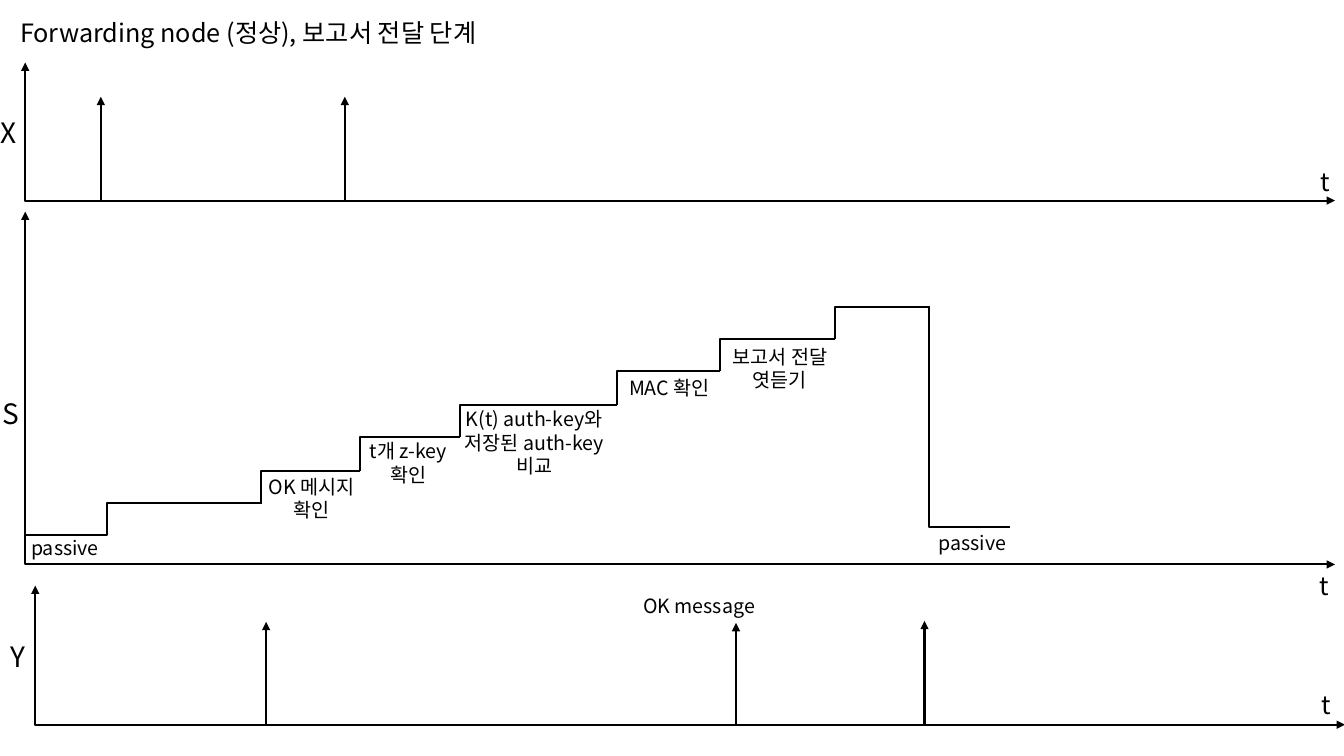
from itertools import pairwise

from lxml.etree import SubElement
from pptx import Presentation
from pptx.dml.color import RGBColor
from pptx.enum.shapes import MSO_CONNECTOR as Conn
from pptx.enum.text import MSO_ANCHOR as Anchor, MSO_AUTO_SIZE as Fit, PP_ALIGN as Align
from pptx.oxml.ns import qn
from pptx.util import Inches, Pt

BLACK = RGBColor(0x00, 0x00, 0x00)
FONT = "Noto Sans CJK KR"
COLS, ROWS = 133.3, 75


def write(tf, text, size=14, align=Align.LEFT, color=BLACK, font=FONT):
    tf.word_wrap = True
    tf.auto_size = Fit.SHAPE_TO_FIT_TEXT
    tf.vertical_anchor = Anchor.TOP
    for i, line in enumerate(text.split("\n")):
        p = tf.paragraphs[0] if i == 0 else tf.add_paragraph()
        p.alignment = align
        r = p.add_run()
        r.text = line
        r.font.size = Pt(size)
        r.font.color.rgb = color
        r.font.name = font
        SubElement(r.font._element, qn("a:ea"), typeface=font)


class TimingSlide:
    def __init__(self, prs, color=BLACK, weight=1.5):
        self.s = prs.slides.add_slide(prs.slide_layouts[5])
        self.col = prs.slide_width / COLS
        self.row = prs.slide_height / ROWS
        self.color, self.weight = color, weight

    def at(self, x, y):
        return round(x * self.col), round(y * self.row)

    def title(self, text, x, y, w, h):
        sp = self.s.shapes.title
        sp.left, sp.top = self.at(x, y)
        sp.width, sp.height = self.at(w, h)
        write(sp.text_frame, text, size=18)

    def label(self, text, x, y, w, h=3.4, **style):
        sp = self.s.shapes.add_textbox(*self.at(x, y), *self.at(w, h))
        write(sp.text_frame, text, **style)

    def line(self, start, end, kind=Conn.STRAIGHT, ends=()):
        c = self.s.shapes.add_connector(kind, *self.at(*start), *self.at(*end))
        c.line.color.rgb = self.color
        c.line.width = Pt(self.weight)
        spPr = c._element.spPr
        for end_tag in ends:
            SubElement(spPr.get_or_add_ln(), qn(end_tag), type="triangle")
        SubElement(spPr, qn("a:effectLst"))
        return c

    def elbow(self, start, end, bend=0.0, turn=0, ends=()):
        c = self.line(start, end, Conn.ELBOW, ends)
        spPr = c._element.spPr
        guides = spPr.find(qn("a:prstGeom")).get_or_add_avLst()
        SubElement(guides, qn("a:gd"), name="adj1", fmla=f"val {round(bend * 100000)}")
        if turn:
            spPr.find(qn("a:xfrm")).set("rot", str(turn * 60000))

    def axes(self, x, top, bottom):
        self.elbow((x, top), (x + 129.9, bottom), ends=("a:headEnd", "a:tailEnd"))

    def event(self, x, base):
        self.line((x, base), (x, base - 10.2), ends=("a:tailEnd",))

    def stairs(self, edges, levels):
        for (x1, x2), (y1, y2) in zip(pairwise(edges), pairwise(levels)):
            self.elbow((x1, y1), (x2, y2))


def main():
    prs = Presentation()
    prs.slide_width, prs.slide_height = Inches(13.33), Inches(7.5)
    s = TimingSlide(prs)
    s.title("Forwarding node (정상), 보고서 전달 단계", 1, 1.2, 81.4, 4)

    for x, top, bottom in [(2.5, 6.2, 19.9), (2.5, 21, 56), (3.5, 58.1, 71.9)]:
        s.axes(x, top, bottom)
    for name, x, y in [("X", -0.9, 11), ("S", -0.7, 38.8), ("Y", 0.1, 63)]:
        s.label(name, x, y, 4.5, 4.4, size=20)
    for x, y in [(130, 16), (129.9, 56.1), (130.1, 67.9)]:
        s.label("t", x, y, 4.5, 4, size=18)

    for x, base in [(10, 19.8), (34.2, 19.8), (26.4, 71.9), (73, 72), (91.7, 71.8)]:
        s.event(x, base)

    s.elbow((2.4, 53.1), (26, 49.9), bend=0.35)
    s.stairs([25.9, 35.7, 45.6, 61.2, 71.4, 82.8, 92.2],
             [49.8, 46.7, 43.4, 40.2, 36.8, 33.6, 30.5])
    s.elbow((107, 37.4), (85.3, 45.5), bend=1, turn=270)

    for text, x, y, w in [("passive", 2.1, 52.7, 12.5), ("passive", 92.1, 52.2, 12.5),
                          ("MAC 확인", 61.4, 36.8, 10.9), ("OK message", 62.8, 58.4, 13.5)]:
        s.label(text, x, y, w)
    for text, x, y, w, h in [("OK 메시지\n확인", 22.5, 46.6, 16.8, 5.7),
                             ("t개 z-key\n확인", 32.1, 43.1, 16.8, 5.7),
                             ("K(t) auth-key와\n저장된 auth-key\n비교", 38.2, 39.9, 29.6, 8.1),
                             ("보고서 전달\n엿듣기", 71.1, 33.7, 12.5, 5.7)]:
        s.label(text, x, y, w, h, align=Align.CENTER)
    prs.save("out.pptx")


if __name__ == "__main__":
    main()
